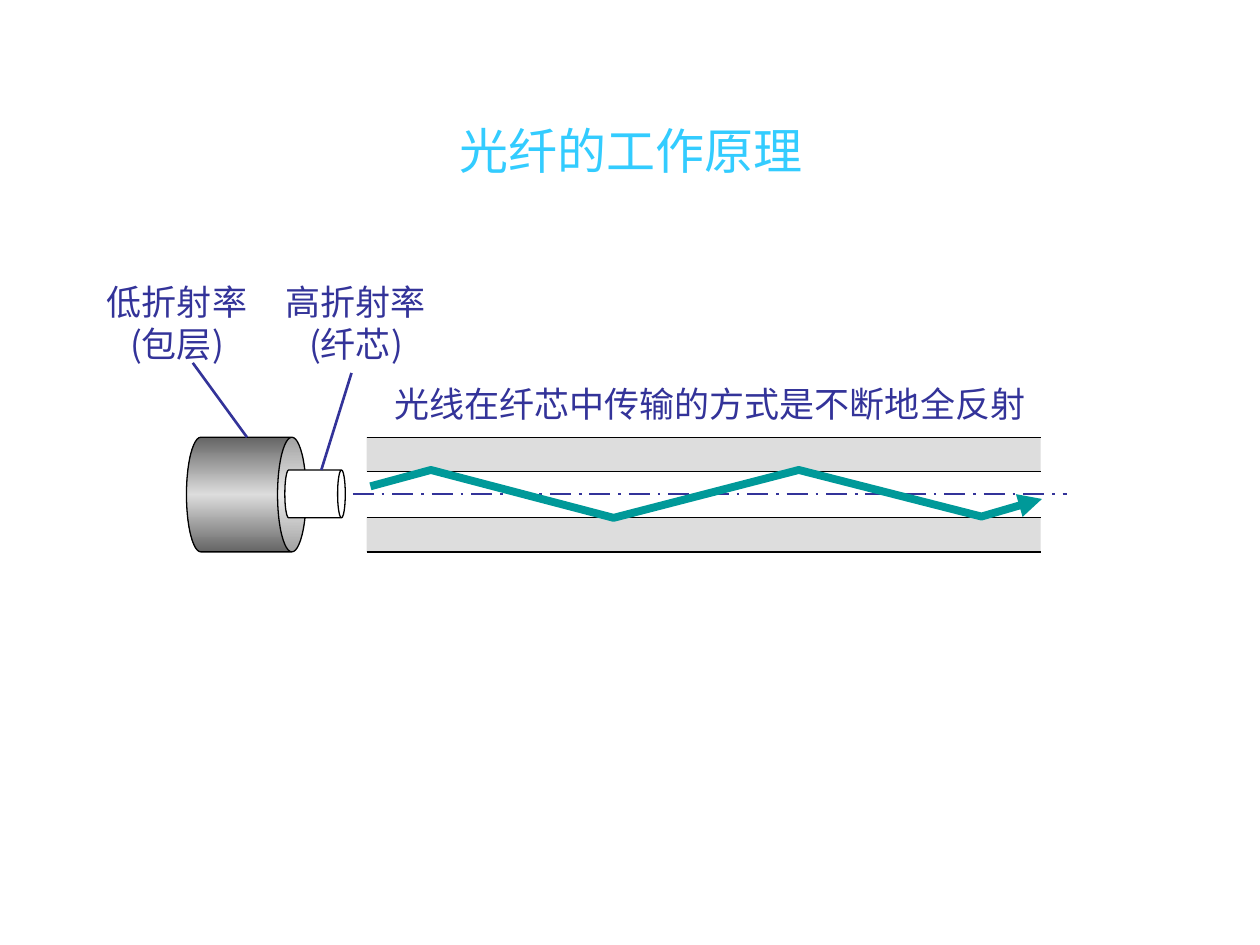
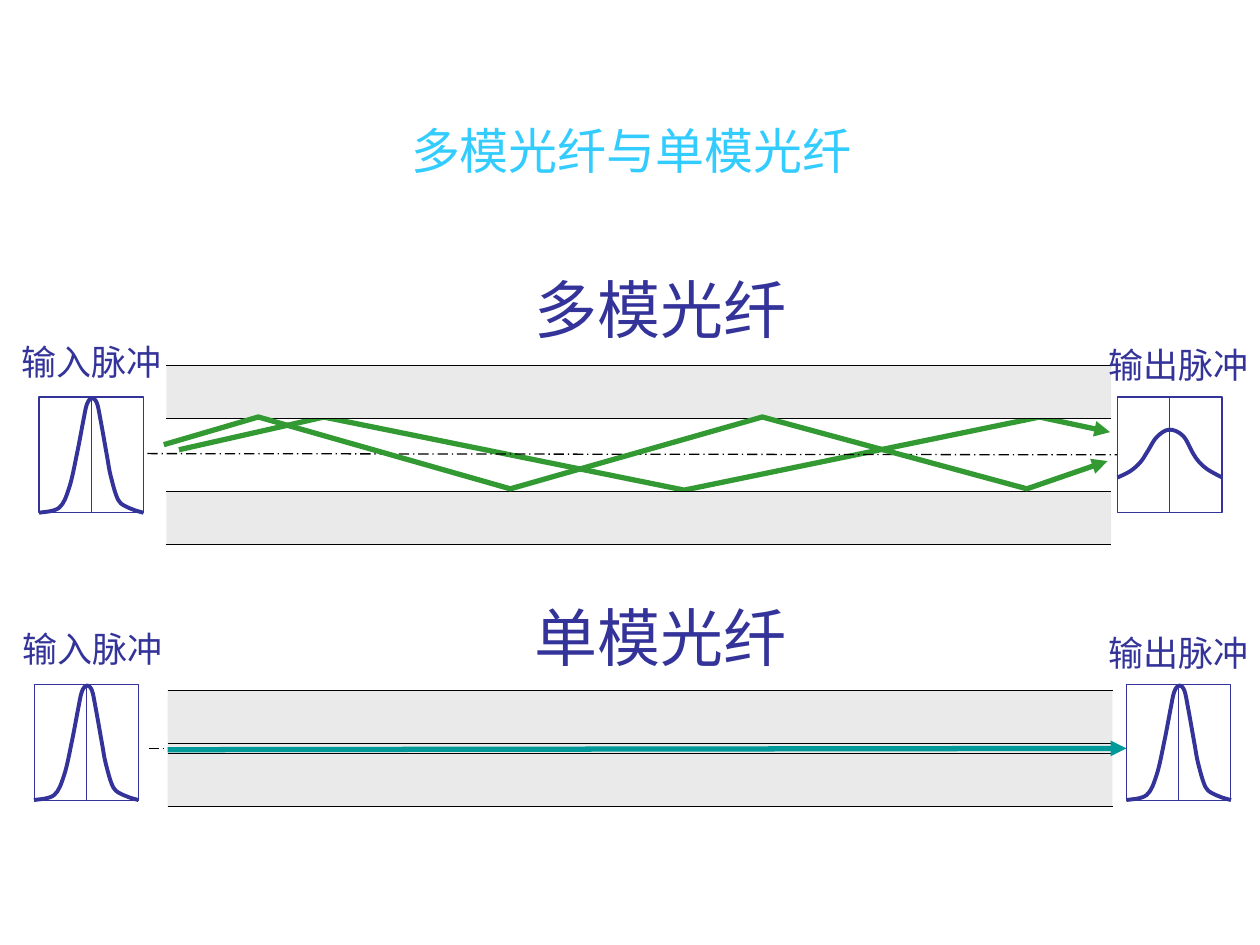
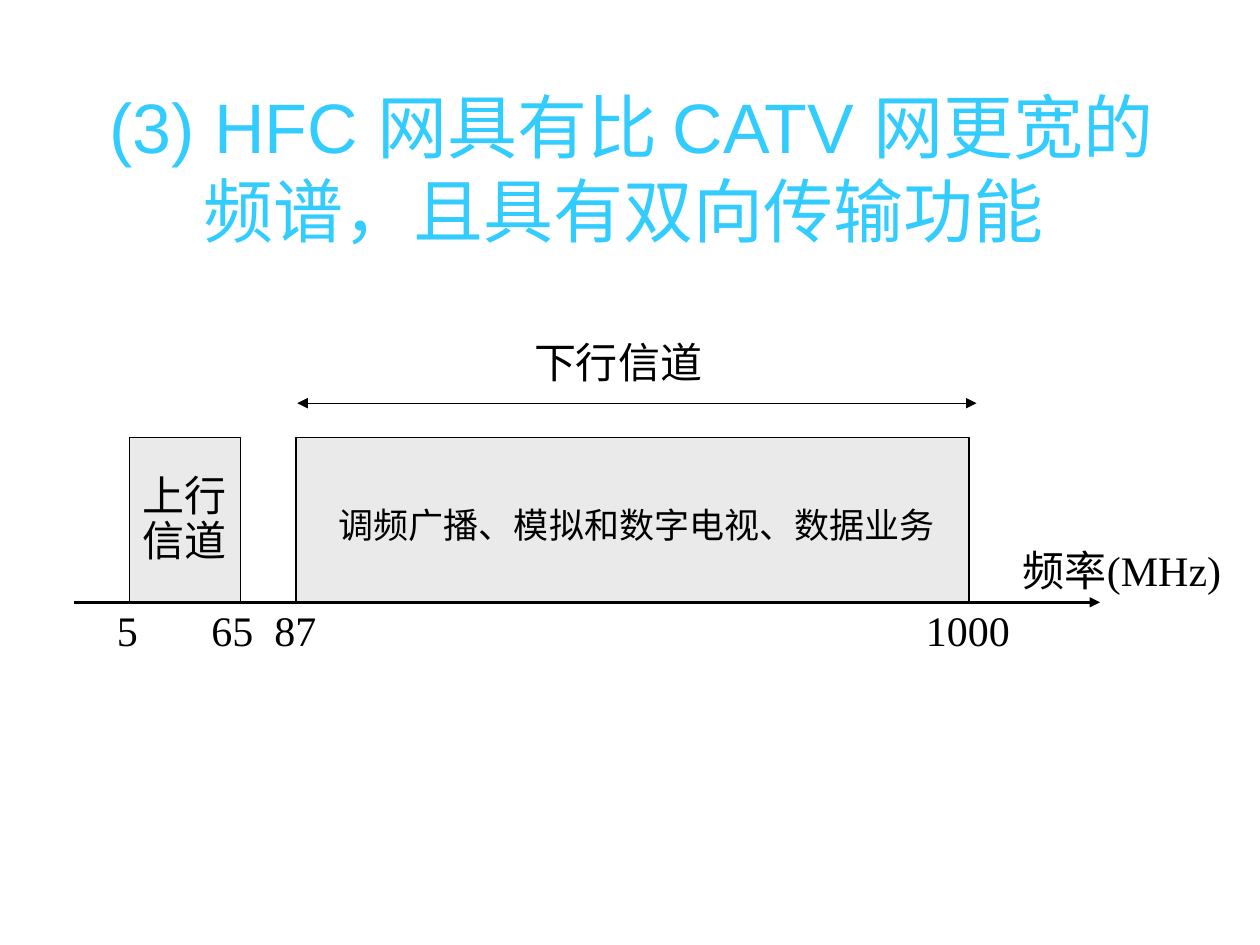
import copy

import pptx
import pptx.dml.color
import pptx.enum.dml
import pptx.enum.shapes
import pptx.enum.text
import pptx.oxml.ns
import pptx.util
from lxml import etree

Inches = pptx.util.Inches
Pt = pptx.util.Pt
qn = pptx.oxml.ns.qn
SHAPE = pptx.enum.shapes.MSO_SHAPE
ALIGN = pptx.enum.text.PP_ALIGN
AUTO_SIZE = pptx.enum.text.MSO_AUTO_SIZE

COLORS = {
    "title": "33CCFF",
    "label": "333399",
    "ink": "000000",
    "white": "FFFFFF",
    "cladding": "DDDDDD",
    "cladding_edge": "656565",
    "panel": "EAEAEA",
    "teal": "009999",
    "green": "339933",
}
CJK = "Noto Sans CJK SC"
SERIF = "Times New Roman"

PULSE_W, PULSE_H = 0.83, 0.92
NARROW_PULSE = [
    (0, 0.92), (0.16, 0.88), (0.24, 0.72), (0.3, 0.46), (0.35, 0.2),
    (0.38, 0.06), (0.42, 0.01), (0.46, 0.05), (0.49, 0.19), (0.54, 0.47),
    (0.57, 0.63), (0.63, 0.82), (0.71, 0.88), (0.76, 0.9), (0.83, 0.92),
]
WIDE_PULSE = [
    (0, 0.64), (0.1, 0.59), (0.18, 0.52), (0.24, 0.43), (0.31, 0.32),
    (0.41, 0.26), (0.52, 0.31), (0.6, 0.45), (0.65, 0.52), (0.72, 0.58),
    (0.83, 0.64),
]


def rgb(name):
    return pptx.dml.color.RGBColor.from_string(COLORS[name])


def box(*values):
    return [Inches(v) for v in values]


def add_run(p, text, size, font, color):
    r = p.add_run()
    r.text = text
    r.font.size = Pt(size)
    r.font.name = font
    r.font.color.rgb = rgb(color)
    etree.SubElement(r._r.get_or_add_rPr(), qn("a:ea"), typeface=CJK)


def add_title_slide(prs, title, top, height, size=28):
    slide = prs.slides.add_slide(prs.slide_layouts[5])
    sp = slide.shapes.title
    sp.left, sp.top, sp.width, sp.height = box(0.51, top, 9, height)
    tf = sp.text_frame
    tf.auto_size = AUTO_SIZE.NONE
    tf.word_wrap = True
    tf.vertical_anchor = pptx.enum.text.MSO_ANCHOR.MIDDLE
    p = tf.paragraphs[0]
    p.alignment = ALIGN.CENTER
    add_run(p, title, size, "Arial", "title")
    return slide


def add_label(slide, at, lines, size=20, font=CJK, color="label",
              align=ALIGN.LEFT, spacing=None, tabs=(), fill=None):
    sp = slide.shapes.add_textbox(*box(*at))
    if fill:
        sp.fill.solid()
        sp.fill.fore_color.rgb = rgb(fill)
    tf = sp.text_frame
    tf.word_wrap = False
    tf.auto_size = AUTO_SIZE.SHAPE_TO_FIT_TEXT
    for i, line in enumerate(lines):
        p = tf.add_paragraph() if i else tf.paragraphs[0]
        p.alignment = align
        if spacing:
            p.line_spacing = spacing
        if tabs:
            tab_list = etree.SubElement(p._p.get_or_add_pPr(), qn("a:tabLst"))
            for pos in tabs:
                etree.SubElement(tab_list, qn("a:tab"), pos=str(Inches(pos)), algn="l")
        add_run(p, line, size, font, color)


def style_line(line, color, width):
    line.color.rgb = rgb(color)
    line.width = Pt(width)


def add_arrowheads(sp, ends):
    ln = sp._element.spPr.find(qn("a:ln"))
    for end in ends:
        etree.SubElement(ln, qn(f"a:{end}"), type="triangle")


def add_line(slide, start, end, color="ink", width=0.75, dashed=False, heads=()):
    kind = pptx.enum.shapes.MSO_CONNECTOR.STRAIGHT
    sp = slide.shapes.add_connector(kind, *box(*start, *end))
    style_line(sp.line, color, width)
    if dashed:
        sp.line.dash_style = pptx.enum.dml.MSO_LINE.LONG_DASH_DOT
    add_arrowheads(sp, heads)
    etree.SubElement(sp._element.spPr, qn("a:effectLst"))


def add_shape(slide, at, fill, line=None, width=0.75, kind=SHAPE.RECTANGLE):
    sp = slide.shapes.add_shape(kind, *box(*at))
    sp.shadow.inherit = False
    sp.fill.solid()
    sp.fill.fore_color.rgb = rgb(fill)
    if line:
        style_line(sp.line, line, width)
    else:
        sp.line.fill.background()
    return sp


def add_cylinder(slide, at, depth, fill):
    sp = add_shape(slide, at, fill, "ink", kind=SHAPE.CAN)
    sp.rotation = 90
    sp.adjustments[0] = depth
    return sp


def shade_cylinder(sp, edge, middle):
    sp.fill.gradient()
    grad = sp._element.spPr.find(qn("a:gradFill"))
    grad.set("rotWithShape", "0")
    stops = grad.find(qn("a:gsLst"))
    stops.append(copy.deepcopy(stops[0]))
    for stop, pos, color in zip(sp.fill.gradient_stops, (0, 0.5, 1), (edge, middle, edge)):
        stop.position = pos
        stop.color.rgb = rgb(color)
    sp.fill.gradient_angle = 270


def add_polyline(slide, points, color, width, heads=()):
    points = [box(*pt) for pt in points]
    builder = slide.shapes.build_freeform(*points[0], scale=1.0)
    builder.add_line_segments(points[1:], close=False)
    sp = builder.convert_to_shape()
    sp.shadow.inherit = False
    sp.fill.background()
    style_line(sp.line, color, width)
    add_arrowheads(sp, heads)
    return sp


def smooth(sp):
    pts = [(int(pt.get("x")), int(pt.get("y"))) for pt in sp._element.iter(qn("a:pt"))]
    padded = [pts[0], *pts, pts[-1]]
    for i, segment in enumerate(list(sp._element.iter(qn("a:lnTo")))):
        before, start, end, after = padded[i:i + 4]
        lead = [s + (e - b) / 6 for b, s, e in zip(before, start, end)]
        trail = [e - (a - s) / 6 for s, e, a in zip(start, end, after)]
        curve = etree.Element(qn("a:cubicBezTo"))
        for x, y in (lead, trail, end):
            etree.SubElement(curve, qn("a:pt"), x=str(round(x)), y=str(round(y)))
        segment.getparent().replace(segment, curve)


def add_fiber(slide, left, width, tops, band, fill, core=None):
    upper, lower = tops
    if core:
        gap = lower - upper - band
        add_shape(slide, (left, upper + band, width, gap), core)
    for top in tops:
        add_shape(slide, (left, top, width, band), fill)
    for top in tops:
        for y in (top, top + band):
            add_line(slide, (left, y), (left + width, y))


def add_pulse(slide, left, top, curve, frame_width):
    add_shape(slide, (left, top, PULSE_W, PULSE_H), "white", "label", frame_width)
    middle = left + PULSE_W / 2
    add_line(slide, (middle, top), (middle, top + PULSE_H), "label", 0.5)
    points = [(left + x, top + y) for x, y in curve]
    smooth(add_polyline(slide, points, "label", 2.25))


def build_principle(prs):
    slide = add_title_slide(prs, "光纤的工作原理", 0.84, 0.7)
    add_fiber(slide, 2.91, 5.35, (3.47, 4.11), 0.27, "cladding", "white")
    cladding = add_cylinder(slide, (1.5, 3.45, 0.91, 0.95), 0.25, "cladding")
    shade_cylinder(cladding, "cladding_edge", "cladding")
    add_cylinder(slide, (2.31, 3.68, 0.38, 0.48), 0.16, "white")
    add_line(slide, (2.8, 3.92), (8.47, 3.92), "label", 1.5, dashed=True)
    for left, lines in ((2.17, ("高折射率", "(纤芯)")), (0.75, ("低折射率", "(包层)"))):
        add_label(slide, (left, 2.18, 1.31, 0.77), lines, align=ALIGN.CENTER)
    add_line(slide, (2.79, 2.96), (2.55, 3.73), "label", 1.5)
    add_line(slide, (1.53, 2.88), (1.96, 3.47), "label", 1.5)
    add_label(slide, (3.03, 2.99, 5.21, 0.44), ["光线在纤芯中传输的方式是不断地全反射"])
    ray = [(2.94, 3.86), (3.42, 3.73), (4.87, 4.11), (6.34, 3.73), (7.79, 4.1), (8.27, 3.96)]
    add_polyline(slide, ray, "teal", 4.5, ["tailEnd"])


def build_modes(prs):
    slide = add_title_slide(prs, "多模光纤与单模光纤", 0.84, 0.7)
    low_ray = [(1.42, 3.57), (2.57, 3.31), (5.43, 3.89), (8.25, 3.31), (8.81, 3.43)]
    high_ray = [(1.3, 3.53), (2.05, 3.31), (4.05, 3.88), (6.05, 3.31), (8.15, 3.88), (8.79, 3.66)]

    add_polyline(slide, low_ray, "green", 3, ["tailEnd"])
    add_fiber(slide, 1.32, 7.5, (2.9, 3.9), 0.42, "panel")
    add_line(slide, (1.17, 3.6), (8.94, 3.61), dashed=True)
    add_pulse(slide, 0.31, 3.15, NARROW_PULSE, 0.75)
    add_pulse(slide, 8.87, 3.15, WIDE_PULSE, 0.75)
    add_polyline(slide, high_ray, "green", 3, ["tailEnd"])

    add_fiber(slide, 1.33, 7.5, (5.48, 5.98), 0.42, "panel", "panel")
    add_line(slide, (1.18, 5.94), (8.95, 5.94), dashed=True)
    add_pulse(slide, 0.27, 5.43, NARROW_PULSE, 0.5)
    add_pulse(slide, 8.94, 5.43, NARROW_PULSE, 0.5)
    add_line(slide, (1.33, 5.95), (8.94, 5.94), "teal", 3, heads=["tailEnd"])

    for name, top in (("多模光纤", 2.1), ("单模光纤", 4.7)):
        add_label(slide, (4.14, top, 2.2, 0.7), [name], 36, "Roboto")
    for left, top, name in (
        (0.07, 2.65, "输入脉冲"), (8.7, 2.68, "输出脉冲"),
        (0.08, 4.93, "输入脉冲"), (8.7, 4.96, "输出脉冲"),
    ):
        add_label(slide, (left, top, 1.31, 0.44), [name])


def build_spectrum(prs):
    title = "(3) HFC 网具有比 CATV 网更宽的频谱，且具有双向传输功能 "
    slide = add_title_slide(prs, title, 1.13, 0.4, 40)
    text = {"size": 24, "font": SERIF, "color": "ink"}
    add_line(slide, (2.36, 3.2), (7.75, 3.2), heads=["headEnd", "tailEnd"])
    add_label(slide, (4.14, 2.62, 1.53, 0.5), ["下行信道"], fill="white", **text)
    for left, width in ((1.03, 0.88), (2.35, 5.34)):
        add_shape(slide, (left, 3.47, width, 1.31), "panel", "ink")
    add_label(slide, (1.03, 3.72, 0.9, 0.82), ["上行", "信道"], spacing=0.9, **text)
    add_label(slide, (0.83, 4.75, 7.4, 0.5), ["5\t65\t87\t1000"],
              tabs=(0.75, 1.25, 6.42), **text)
    add_label(slide, (2.59, 3.95, 4.93, 0.44), ["调频广播、模拟和数字电视、数据业务"],
              20, SERIF, "ink")
    add_label(slide, (8.02, 4.27, 1.85, 0.5), ["频率(MHz)"], **text)
    add_line(slide, (0.59, 4.78), (8.73, 4.78), width=1.5, heads=["tailEnd"])


def main():
    prs = pptx.Presentation()
    prs.slide_width, prs.slide_height = box(10, 7.5)
    build_principle(prs)
    build_modes(prs)
    build_spectrum(prs)
    prs.save("out.pptx")


if __name__ == "__main__":
    main()
